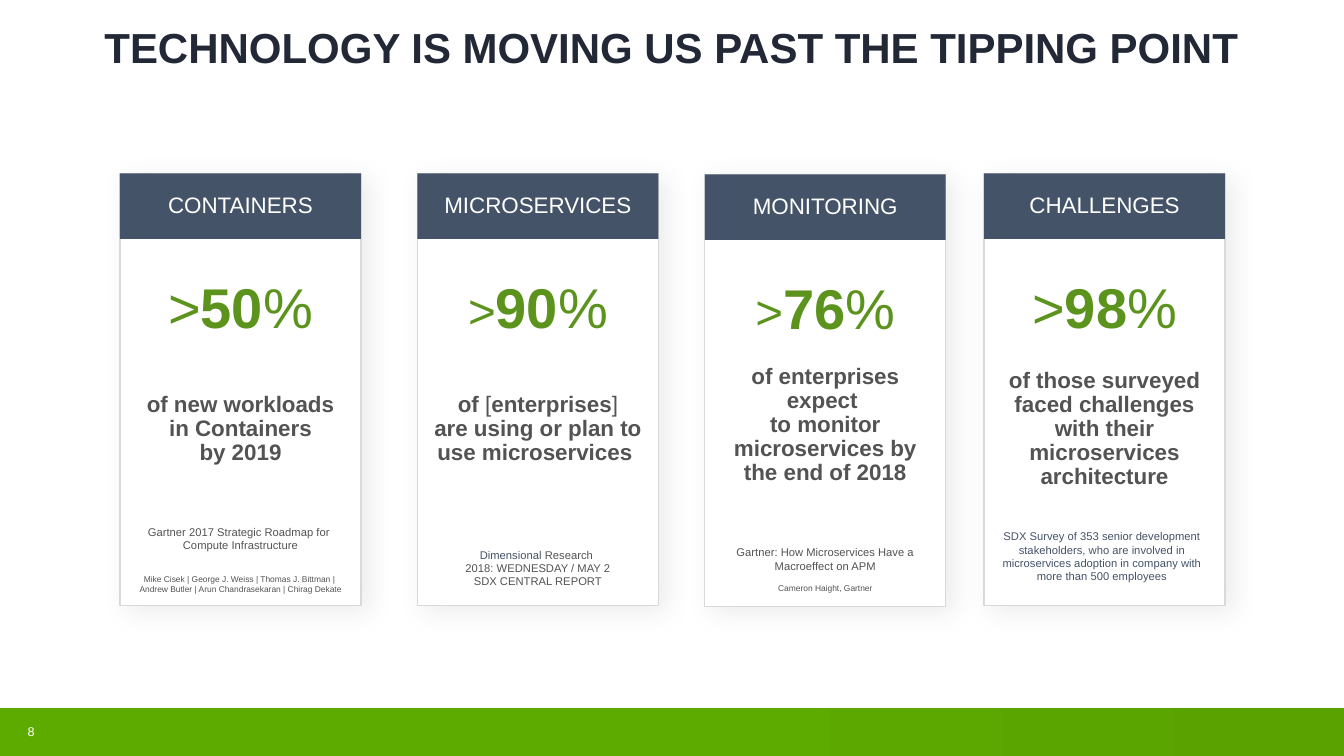
import dataclasses

import lxml.etree
import pptx
import pptx.dml.color
import pptx.enum.shapes
import pptx.enum.text
import pptx.oxml.ns
import pptx.util

COLUMNS, ROWS = 1333, 750
CELL = pptx.util.Inches(0.01)
CARD_WIDTH, CARD_HEIGHT, HEADER_HEIGHT = 239, 429, 65
FONT = "Arial"
COLORS = {
    "white": "FFFFFF",
    "border": "D9D9D9",
    "slate": "445368",
    "gray": "535353",
    "green": "5B931D",
    "title": "232836",
    "footer_dark": "59A200",
    "footer_light": "5EAB00",
    "shadow": "000000",
}
MIDDLE = pptx.enum.text.MSO_ANCHOR.MIDDLE
TOP = pptx.enum.text.MSO_ANCHOR.TOP


@dataclasses.dataclass
class Box:
    """A rectangle in columns and rows of the slide grid."""

    left: float
    top: float
    width: float
    height: float

    def inner(self, left, top, width, height):
        """Return a box placed relative to this one."""
        return Box(self.left + left, self.top + top, width, height)

    def lengths(self):
        """Return left, top, width and height as slide lengths."""
        return [round(value * CELL) for value in dataclasses.astuple(self)]


@dataclasses.dataclass
class Run:
    """A stretch of text in one style."""

    text: str
    size: float
    color: str = "gray"
    bold: bool = False


@dataclasses.dataclass
class Card:
    """The content of one statistic card."""

    left: float
    top: float
    heading: str
    sign_size: float
    number: str
    body: list
    note_box: tuple
    note: list
    gap: float = 0
    body_anchor: object = MIDDLE


def rgb(name):
    """Return a named colour."""
    return pptx.dml.color.RGBColor.from_string(COLORS[name])


def bold_lines(*lines):
    """Return one bold body paragraph for each line."""
    return [[Run(line, 16, bold=True)] for line in lines]


def small_lines(*lines, size=8, color="gray"):
    """Return one small paragraph for each line."""
    return [[Run(line, size, color)] for line in lines]


CARDS = [
    Card(119, 172, "CONTAINERS", 40, "50",
         bold_lines("of new workloads", "in Containers", "by 2019"),
         (0, 339, 239, 89),
         small_lines("Gartner 2017 Strategic Roadmap for ", "Compute Infrastructure")
         + small_lines("Mike Cisek | George J. Weiss | Thomas J. Bittman | ",
                       "Andrew Butler | Arun Chandrasekaran | Chirag Dekate", size=6),
         gap=16),
    Card(414, 172, "MICROSERVICES", 34, "90",
         [[Run("of ", 16, bold=True), Run("[", 16),
           Run("enterprises", 16, bold=True), Run("]", 16)]]
         + bold_lines("are using or plan to use microservices "),
         (0, 367, 239, 49),
         [[Run("Dimensional ", 8, "slate"), Run("Research ", 8)]]
         + small_lines("2018: WEDNESDAY / MAY 2", "SDX CENTRAL REPORT")),
    Card(699, 173, "MONITORING", 34, "76",
         bold_lines("of enterprises expect ",
                    "to monitor microservices by the end of 2018"),
         (0, 363, 239, 58),
         small_lines("Gartner: How Microservices Have a Macroeffect on APM")
         + small_lines("Cameron Haight, Gartner", size=6),
         gap=7.5, body_anchor=TOP),
    Card(976, 172, "CHALLENGES", 40, "98",
         bold_lines("of those surveyed faced challenges with their "
                    "microservices architecture"),
         (10, 348, 214, 64),
         small_lines("SDX Survey of 353 senior development stakeholders, who are "
                     "involved in microservices adoption in company with more than "
                     "500 employees", color="slate")),
]


def add_text(shapes, box, paragraphs, anchor=MIDDLE, inset=(10, 5),
             spacing=1.0, gap=0, wrap=True):
    """Add centred text, with a gap wherever the text size changes."""
    frame = shapes.add_textbox(*box.lengths()).text_frame
    frame.word_wrap = wrap
    frame.vertical_anchor = anchor
    frame.margin_left = frame.margin_right = inset[0] * CELL
    frame.margin_top = frame.margin_bottom = inset[1] * CELL
    previous_size = paragraphs[0][0].size
    for index, runs in enumerate(paragraphs):
        paragraph = frame.add_paragraph() if index else frame.paragraphs[0]
        paragraph.alignment = pptx.enum.text.PP_ALIGN.CENTER
        paragraph.line_spacing = spacing
        if runs[0].size != previous_size:
            paragraph.space_before = pptx.util.Pt(gap)
        previous_size = runs[0].size
        for item in runs:
            run = paragraph.add_run()
            run.text = item.text
            run.font.name = FONT
            run.font.size = pptx.util.Pt(item.size)
            run.font.bold = item.bold
            run.font.color.rgb = rgb(item.color)


def add_rectangle(shapes, box, fill):
    """Add a plain rectangle without line or shadow."""
    shape = shapes.add_shape(pptx.enum.shapes.MSO_SHAPE.RECTANGLE, *box.lengths())
    shape.shadow.inherit = False
    shape.fill.solid()
    shape.fill.fore_color.rgb = rgb(fill)
    shape.line.fill.background()
    return shape


def add_soft_shadow(shape):
    """Give a shape a faint, blurred outer shadow."""
    name = pptx.oxml.ns.qn
    effects = shape.element.spPr.find(name("a:effectLst"))
    shadow = lxml.etree.SubElement(
        effects, name("a:outerShdw"), blurRad=str(pptx.util.Pt(19)),
        dist=str(pptx.util.Pt(6)), dir=str(36 * 60000), algn="tl", rotWithShape="0")
    color = lxml.etree.SubElement(shadow, name("a:srgbClr"), val=COLORS["shadow"])
    lxml.etree.SubElement(color, name("a:alpha"), val="8000")


def add_card(slide, box, card):
    """Add one statistic card as a group."""
    shapes = slide.shapes.add_group_shape().shapes
    panel = add_rectangle(shapes, box, "white")
    panel.line.color.rgb = rgb("border")
    panel.line.width = pptx.util.Pt(1)
    add_soft_shadow(panel)
    header = box.inner(0, 0, box.width, HEADER_HEIGHT)
    add_rectangle(shapes, header, "slate")
    add_text(shapes, header, [[Run(card.heading, 16, "white")]], spacing=0.9)
    add_text(shapes, box.inner(0, 93, box.width, 77),
             [[Run(">", card.sign_size, "green"),
               Run(card.number, 40, "green", True), Run("%", 40, "green")]],
             inset=(5, 5))
    add_text(shapes, box.inner(0, 184, box.width, 140), card.body,
             anchor=card.body_anchor, spacing=0.9)
    add_text(shapes, box.inner(*card.note_box), card.note, inset=(5, 5), gap=card.gap)


def add_title(slide, box):
    """Add the slide title."""
    title = Run("TECHNOLOGY IS MOVING US PAST THE TIPPING POINT", 30, "title", True)
    add_text(slide.shapes, box, [[title]], inset=(10, 0), spacing=0.9, wrap=False)


def add_footer(slide, box):
    """Add the green footer band with the slide number."""
    band = add_rectangle(slide.shapes, box, "footer_light")
    band.fill.gradient()
    band.fill.gradient_angle = 180
    stops = zip(band.fill.gradient_stops, (0, 0.51), ("footer_dark", "footer_light"))
    for stop, position, color in stops:
        stop.position = position
        stop.color.rgb = rgb(color)
    add_text(slide.shapes, box.inner(1, 11, 60, 25), [[Run("8", 9, "white")]])


def main():
    """Build and save the presentation."""
    presentation = pptx.Presentation()
    presentation.slide_width = COLUMNS * CELL
    presentation.slide_height = ROWS * CELL
    slide = presentation.slides.add_slide(presentation.slide_layouts[6])
    add_footer(slide, Box(0, 702, COLUMNS, 48))
    for card in CARDS:
        add_card(slide, Box(card.left, card.top, CARD_WIDTH, CARD_HEIGHT), card)
    add_title(slide, Box(0, 0, COLUMNS, 100))
    presentation.save("out.pptx")


if __name__ == "__main__":
    main()
